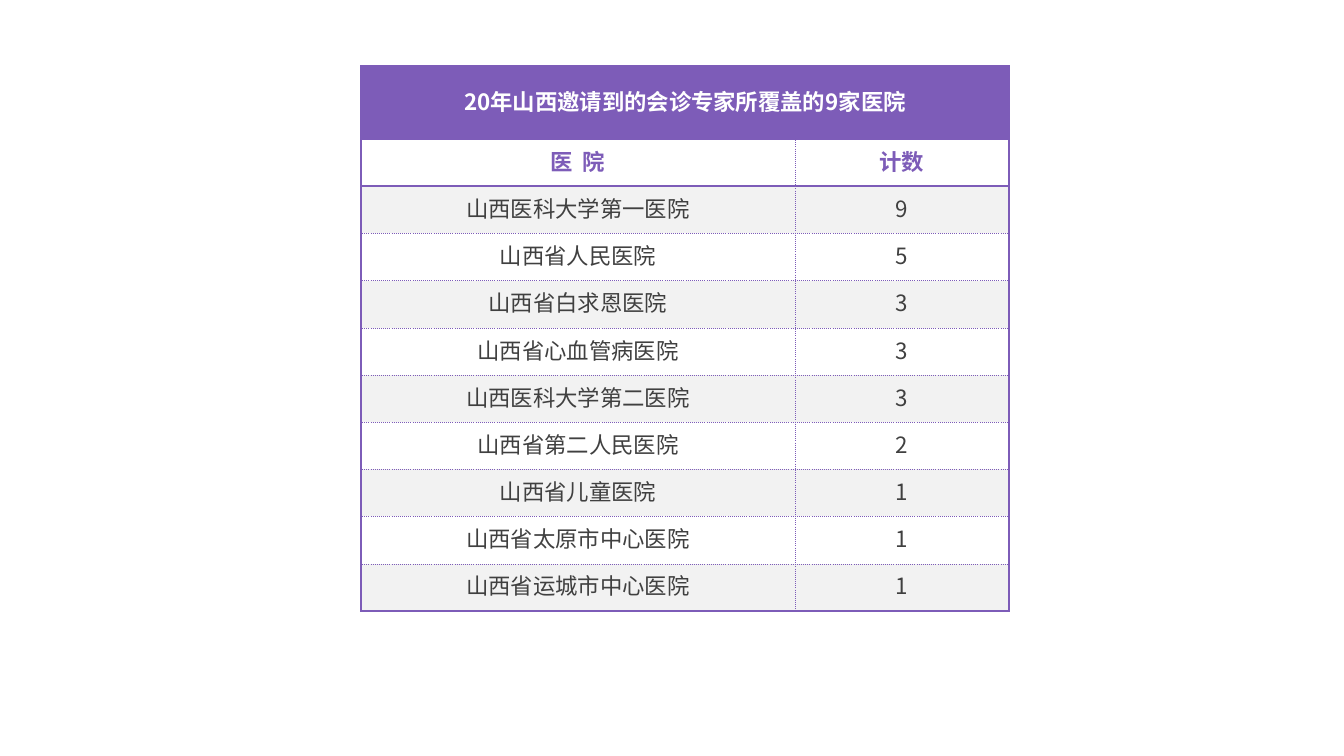
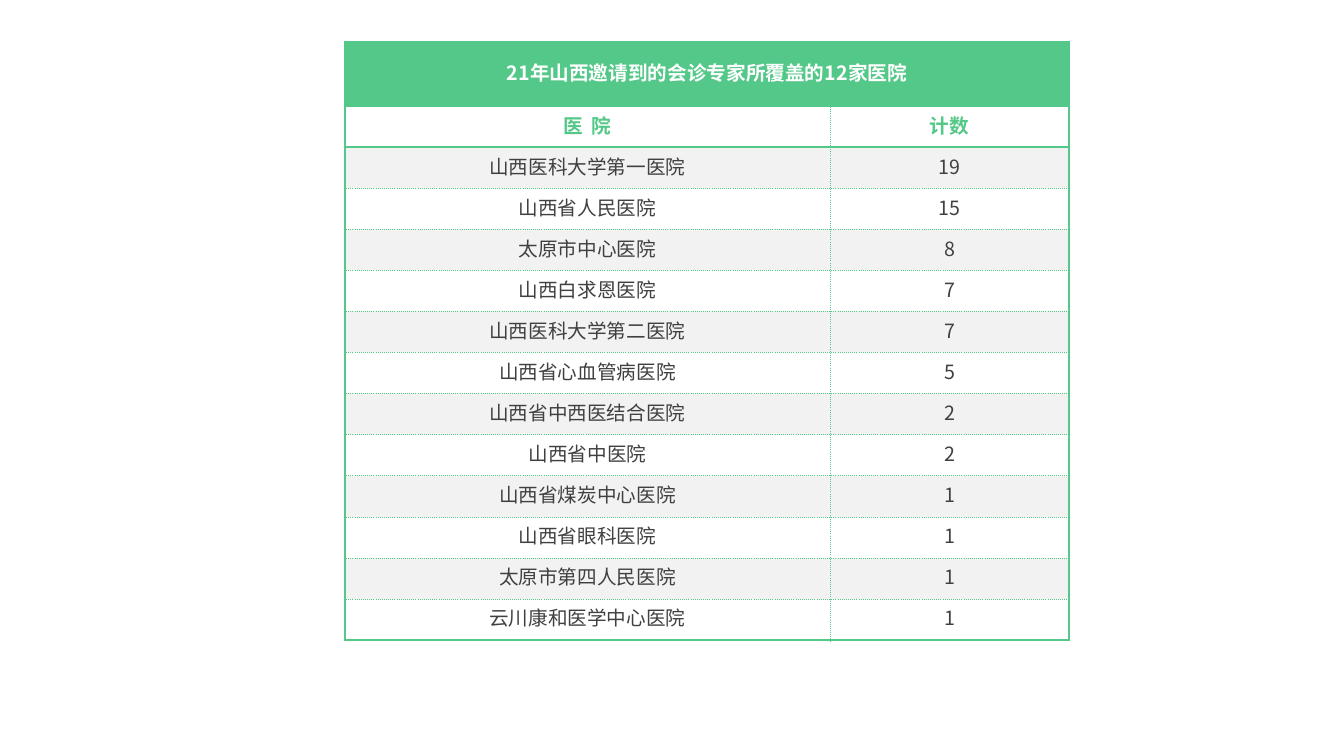
from dataclasses import dataclass
from lxml.etree import SubElement as Sub, Element
from pptx import Presentation
from pptx.dml.color import RGBColor as RGB
from pptx.enum.text import MSO_ANCHOR as Anchor, PP_ALIGN as Align
from pptx.oxml.ns import qn
from pptx.util import Pt


@dataclass
class Theme:
    font: str = "Noto Sans CJK SC"
    white: str = "FFFFFF"
    band: str = "F2F2F2"
    ink: str = "404040"
    purple: str = "7D5CB8"
    green: str = "54C888"
    large: int = 16
    small: int = 14
    thick: float = 1.5
    thin: float = 0.25


def px(n):
    return round(n * 914400 / 100.8)


def edge(cell, spot, side, color, strong):
    width = Pt(theme.thick if strong else theme.thin)
    line = Element(qn(f"a:ln{side}"), w=str(width), cmpd="sng")
    fill = Sub(line, qn("a:solidFill"))
    Sub(fill, qn("a:srgbClr"), val=color)
    Sub(line, qn("a:prstDash"), val="solid" if strong else "dot")
    cell._tc.get_or_add_tcPr().insert(spot, line)


theme = Theme()
heads = ("医 院", "计数")
tables = [
    dict(
        title="20年山西邀请到的会诊专家所覆盖的9家医院",
        color=theme.purple, size=theme.large,
        left=361, top=66, cols=(434, 214), head=73, body=472,
        rows=[
            ("山西医科大学第一医院", 9),
            ("山西省人民医院", 5),
            ("山西省白求恩医院", 3),
            ("山西省心血管病医院", 3),
            ("山西医科大学第二医院", 3),
            ("山西省第二人民医院", 2),
            ("山西省儿童医院", 1),
            ("山西省太原市中心医院", 1),
            ("山西省运城市中心医院", 1),
        ],
    ),
    dict(
        title="21年山西邀请到的会诊专家所覆盖的12家医院",
        color=theme.green, size=theme.small,
        left=345, top=42, cols=(485, 239), head=64, body=534,
        rows=[
            ("山西医科大学第一医院", 19),
            ("山西省人民医院", 15),
            ("太原市中心医院", 8),
            ("山西白求恩医院", 7),
            ("山西医科大学第二医院", 7),
            ("山西省心血管病医院", 5),
            ("山西省中西医结合医院", 2),
            ("山西省中医院", 2),
            ("山西省煤炭中心医院", 1),
            ("山西省眼科医院", 1),
            ("太原市第四人民医院", 1),
            ("云川康和医学中心医院", 1),
        ],
    ),
]

deck = Presentation()
deck.slide_width, deck.slide_height = px(1344), px(756)

for data in tables:
    slide = deck.slides.add_slide(deck.slide_layouts[6])
    color, size = data["color"], data["size"]
    rows = [(data["title"], ""), heads, *data["rows"]]
    last = len(rows) - 1
    grid = slide.shapes.add_table(
        len(rows), 2, px(data["left"]), px(data["top"]),
        px(sum(data["cols"])), px(data["head"] + data["body"])).table
    grid.first_row = grid.horz_banding = False
    for col, width in zip(grid.columns, data["cols"]):
        col.width = px(width)
    for r, row in enumerate(grid.rows):
        row.height = px(data["body"] / last if r else data["head"])
    grid.cell(0, 0).merge(grid.cell(0, 1))

    for r, texts in enumerate(rows):
        back = color if r == 0 else theme.white if r % 2 else theme.band
        ink = (theme.white, color)[r] if r < 2 else theme.ink
        for c, text in enumerate(texts):
            cell = grid.cell(r, c)
            cell.margin_left = cell.margin_right = cell.margin_top = px(1)
            cell.margin_bottom = px(5)
            cell.vertical_anchor = Anchor.MIDDLE
            cell.fill.solid()
            cell.fill.fore_color.rgb = RGB.from_string(back)
            sides = dict(L=r == 0 or c == 0, R=r == 0 or c == 1,
                         T=r <= 2, B=r <= 1 or r == last)
            for spot, (side, strong) in enumerate(sides.items()):
                edge(cell, spot, side, color, strong)
            if text == "":
                continue
            para = cell.text_frame.paragraphs[0]
            para.text = str(text)
            para.alignment = Align.CENTER
            run = para.runs[0]
            run.font.name = theme.font
            run.font.size = Pt(size)
            run.font.bold = r < 2
            run.font.color.rgb = RGB.from_string(ink)
            props = run._r.get_or_add_rPr()
            Sub(props, qn("a:ea"), typeface=theme.font)
            if text == heads[0]:
                props.set("spc", str(size * 11))

deck.save("out.pptx")
